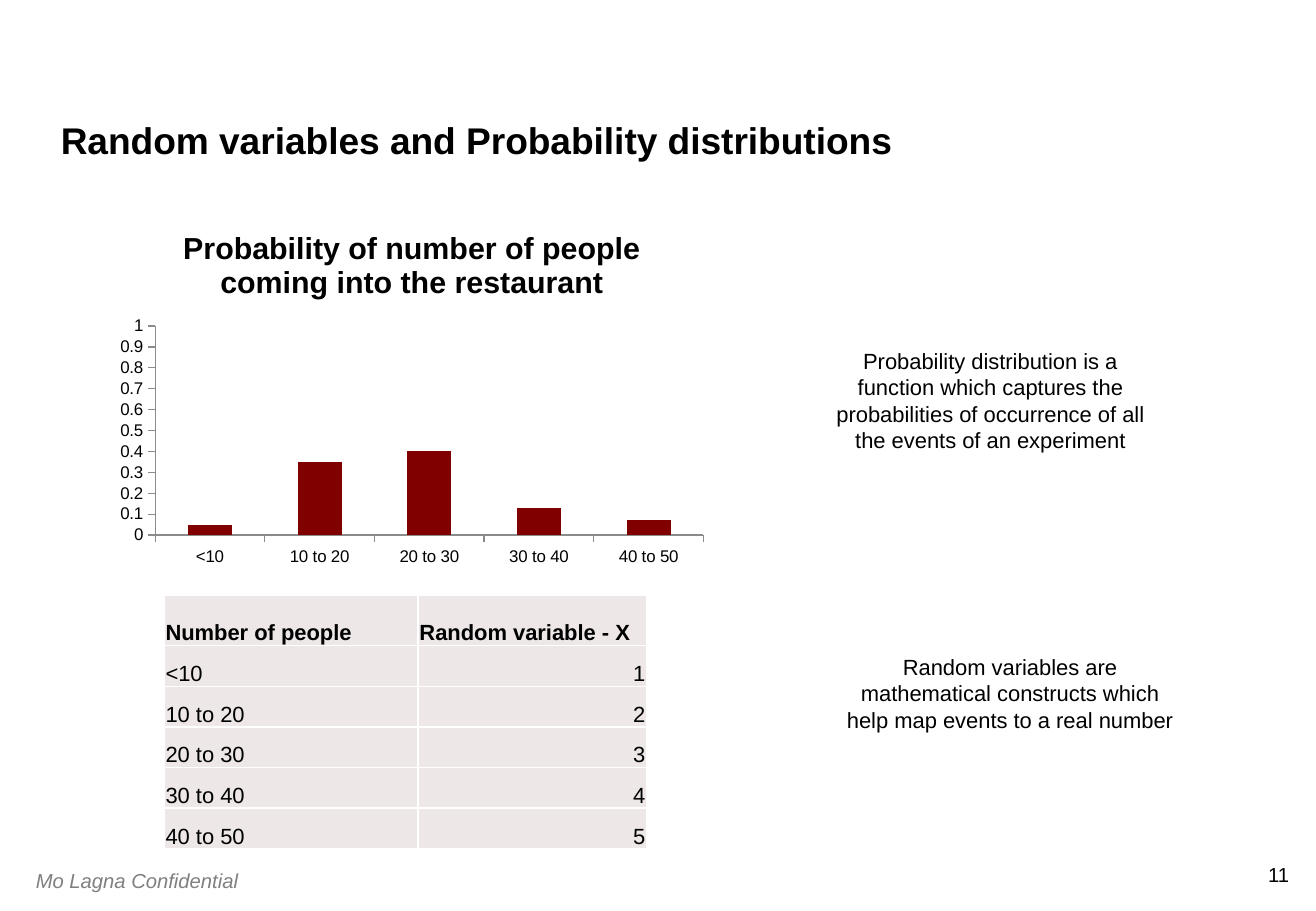
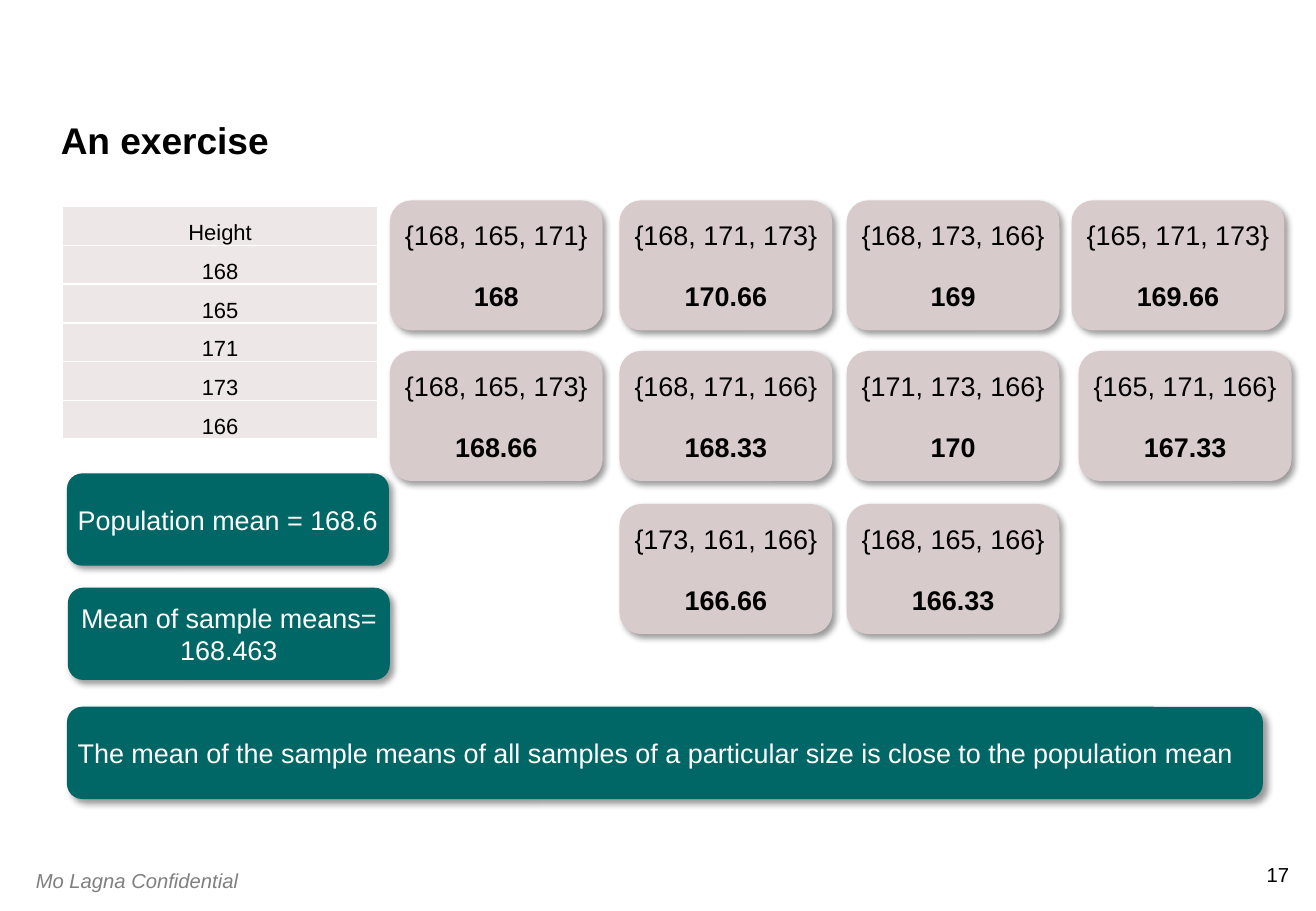
from lxml import etree
from pptx import Presentation
from pptx.chart.data import CategoryChartData
from pptx.dml.color import RGBColor
from pptx.enum.chart import XL_CHART_TYPE, XL_TICK_MARK
from pptx.enum.shapes import MSO_SHAPE
from pptx.enum.text import MSO_ANCHOR, MSO_AUTO_SIZE, PP_ALIGN
from pptx.oxml import parse_xml
from pptx.oxml.ns import nsdecls, qn
from pptx.util import Cm, Pt

LEFT, CENTER, RIGHT = PP_ALIGN.LEFT, PP_ALIGN.CENTER, PP_ALIGN.RIGHT
TOP, MIDDLE, BOTTOM = MSO_ANCHOR.TOP, MSO_ANCHOR.MIDDLE, MSO_ANCHOR.BOTTOM
COLUMNS = XL_CHART_TYPE.COLUMN_CLUSTERED
ROUNDED = MSO_SHAPE.ROUNDED_RECTANGLE
OUTSIDE, NO_TICK = XL_TICK_MARK.OUTSIDE, XL_TICK_MARK.NONE
NO_FIT = MSO_AUTO_SIZE.NONE

BLACK = RGBColor(0x00, 0x00, 0x00)
WHITE = RGBColor(0xFF, 0xFF, 0xFF)
GRAY = RGBColor(0x80, 0x80, 0x80)
AXIS_GRAY = RGBColor(0x8B, 0x8B, 0x8B)
MAROON = RGBColor(0x80, 0x00, 0x00)
TEAL = RGBColor(0x00, 0x66, 0x66)
ROSE = RGBColor(0xD8, 0xCB, 0xCB)
PALE = RGBColor(0xED, 0xE7, 0xE7)
FONT = "Arial"

FOOTER = "Mo Lagna Confidential"

CHART_TITLE = "Probability of number of people coming into the restaurant"
GROUPS = ["<10", "10 to 20", "20 to 30", "30 to 40", "40 to 50"]
PROBABILITIES = [0.05, 0.35, 0.4, 0.13, 0.07]
VARIABLE_ROWS = [("Number of people", "Random variable - X")] + [
    (group, str(number)) for number, group in enumerate(GROUPS, 1)
]
DEFINITIONS = [
    (16.94, 7.14, 2.49, "Probability distribution is a function which captures the "
     "probabilities of occurrence of all the events of an experiment"),
    (17.35, 13.54, 1.93, "Random variables are mathematical constructs which "
     "help map events to a real number"),
]

HEIGHT_ROWS = [("Height",), ("168",), ("165",), ("171",), ("173",), ("166",)]
SAMPLE_ROWS = [
    (4.19, [(8.15, "{168, 165, 171}", "168"), (12.95, "{168, 171, 173}", "170.66"),
            (17.7, "{168, 173, 166}", "169"), (22.4, "{165, 171, 173}", "169.66")]),
    (7.34, [(8.15, "{168, 165, 173}", "168.66"), (12.95, "{168, 171, 166}", "168.33"),
            (17.7, "{171, 173, 166}", "170"), (22.55, "{165, 171, 166}", "167.33")]),
    (10.54, [(12.95, "{173, 161, 166}", "166.66"), (17.7, "{168, 165, 166}", "166.33")]),
]
FINDINGS = [
    (1.4, 9.9, 6.73, "Population mean = 168.6", LEFT, False),
    (1.42, 12.29, 6.73, "Mean of sample means= 168.463", CENTER, True),
    (1.4, 14.78, 25, "The mean of the sample means of all samples of a particular "
     "size is close to the population mean", LEFT, False),
]


def write(frame, *lines, size=13, color=BLACK, bold=False, last_bold=False, italic=False,
          align=LEFT, anchor=TOP, wrap=True, insets=(0.25, 0.13), gap=0, spacing=None):
    frame.auto_size = NO_FIT
    frame.word_wrap = wrap
    frame.vertical_anchor = anchor
    frame.margin_left = frame.margin_right = Cm(insets[0])
    frame.margin_top = frame.margin_bottom = Cm(insets[1])
    for index, line in enumerate(lines):
        para = frame.add_paragraph() if index else frame.paragraphs[0]
        para.alignment = align
        para.space_before = Pt(gap if index else 0)
        if spacing:
            para.line_spacing = spacing
        span = para.add_run()
        span.text = line
        span.font.name = FONT
        span.font.size = Pt(size)
        span.font.bold = bold or (last_bold and index == len(lines) - 1)
        span.font.italic = italic
        span.font.color.rgb = color


def add_text(page, left, top, width, height, text, **style):
    box = page.shapes.add_textbox(Cm(left), Cm(top), Cm(width), Cm(height))
    write(box.text_frame, text, **style)


def add_page(deck, title, number):
    page = deck.slides.add_slide(deck.slide_layouts[5])
    heading = page.shapes.title
    heading.left, heading.top = Cm(1.27), Cm(1.07)
    heading.width, heading.height = Cm(24.97), Cm(2.34)
    write(heading.text_frame, title, size=22, bold=True, anchor=BOTTOM,
          insets=(0, 0), spacing=0.9)
    add_text(page, 26.42, 18.03, 0.53, 0.5, number, size=12, align=RIGHT,
             wrap=False, insets=(0, 0))
    add_text(page, 0.5, 18.03, 5.08, 0.76, FOOTER, size=12, color=GRAY, italic=True)
    return page


def add_card(page, left, top, width, height, fill, *lines, **style):
    card = page.shapes.add_shape(ROUNDED, Cm(left), Cm(top), Cm(width), Cm(height))
    card.fill.solid()
    card.fill.fore_color.rgb = fill
    card.line.fill.background()
    card.shadow.inherit = False
    effects = card._element.spPr.find(qn("a:effectLst"))
    shadow = etree.SubElement(effects, qn("a:outerShdw"), blurRad=str(Pt(4)),
                              dist=str(Pt(3)), dir="2700000", algn="tl", rotWithShape="0")
    tone = etree.SubElement(shadow, qn("a:srgbClr"), val=str(BLACK))
    etree.SubElement(tone, qn("a:alpha"), val="40000")
    write(card.text_frame, *lines, size=16, anchor=MIDDLE, insets=(0.13, 0.13), **style)


def add_border(cell):
    properties = cell._tc.get_or_add_tcPr()
    for index, side in enumerate(("lnL", "lnR", "lnT", "lnB")):
        properties.insert(index, parse_xml(
            f'<a:{side} {nsdecls("a")} w="{Pt(1)}"><a:solidFill>'
            f'<a:srgbClr val="{WHITE}"/></a:solidFill></a:{side}>'))


def add_grid(page, left, top, widths, heights, rows, aligns, bold_header=False):
    frame = page.shapes.add_table(len(rows), len(widths), Cm(left), Cm(top),
                                  Cm(sum(widths)), Cm(sum(heights)))
    table = frame.table
    table.first_row = table.horz_banding = False
    for column, width in zip(table.columns, widths):
        column.width = Cm(width)
    for index, (row, height, texts) in enumerate(zip(table.rows, heights, rows)):
        row.height = Cm(height)
        for cell, text, align in zip(row.cells, texts, aligns):
            header = index == 0 and bold_header
            write(cell.text_frame, text, bold=header, align=LEFT if header else align)
            cell.vertical_anchor = BOTTOM
            cell.margin_left = cell.margin_right = cell.margin_top = Cm(0.03)
            cell.margin_bottom = 0
            cell.fill.solid()
            cell.fill.fore_color.rgb = PALE
            add_border(cell)


def add_probability_chart(page):
    data = CategoryChartData()
    data.categories = GROUPS
    data.add_series("Series 1", PROBABILITIES)
    chart = page.shapes.add_chart(COLUMNS, Cm(2.26), Cm(4.37), Cm(12.7), Cm(7.62), data).chart
    chart.font.name = FONT
    chart.font.size = Pt(10)
    chart.font.color.rgb = BLACK
    chart.has_legend = False
    chart.has_title = True
    span = chart.chart_title.text_frame.paragraphs[0].add_run()
    span.text = CHART_TITLE
    span.font.name = FONT
    span.font.size = Pt(18)
    span.font.bold = True
    span.font.color.rgb = BLACK
    for axis in (chart.category_axis, chart.value_axis):
        axis.has_major_gridlines = False
        axis.major_tick_mark = OUTSIDE
        axis.minor_tick_mark = NO_TICK
        axis.format.line.color.rgb = AXIS_GRAY
        axis.format.line.width = Pt(0.75)
    scale = chart.value_axis
    scale.minimum_scale, scale.maximum_scale, scale.major_unit = 0, 1, 0.1
    plot = chart.plots[0]
    plot.gap_width = 150
    plot.vary_by_categories = False
    bars = plot.series[0].format.fill
    bars.solid()
    bars.fore_color.rgb = MAROON


def build_distribution_page(deck):
    page = add_page(deck, "Random variables and Probability distributions", "11")
    add_probability_chart(page)
    add_grid(page, 3.43, 12.45, [5.31, 4.78], [1.05] + [0.85] * 5, VARIABLE_ROWS,
             [LEFT, RIGHT], bold_header=True)
    for left, top, height, text in DEFINITIONS:
        add_text(page, left, top, 7.52, height, text, align=CENTER)


def build_exercise_page(deck):
    page = add_page(deck, "An exercise", "17")
    add_grid(page, 1.3, 4.32, [6.6], [0.81] * 6, HEIGHT_ROWS, [CENTER])
    for top, cards in SAMPLE_ROWS:
        for left, sample, mean in cards:
            add_card(page, left, top, 4.45, 2.72, ROSE, sample, mean, align=CENTER,
                     last_bold=True, wrap=False, gap=17)
    for left, top, width, text, align, wrap in FINDINGS:
        add_card(page, left, top, width, 1.93, TEAL, text, color=WHITE, align=align, wrap=wrap)


def main():
    deck = Presentation()
    deck.slide_width, deck.slide_height = Cm(27.51), Cm(19.05)
    build_distribution_page(deck)
    build_exercise_page(deck)
    deck.save("out.pptx")


if __name__ == "__main__":
    main()
